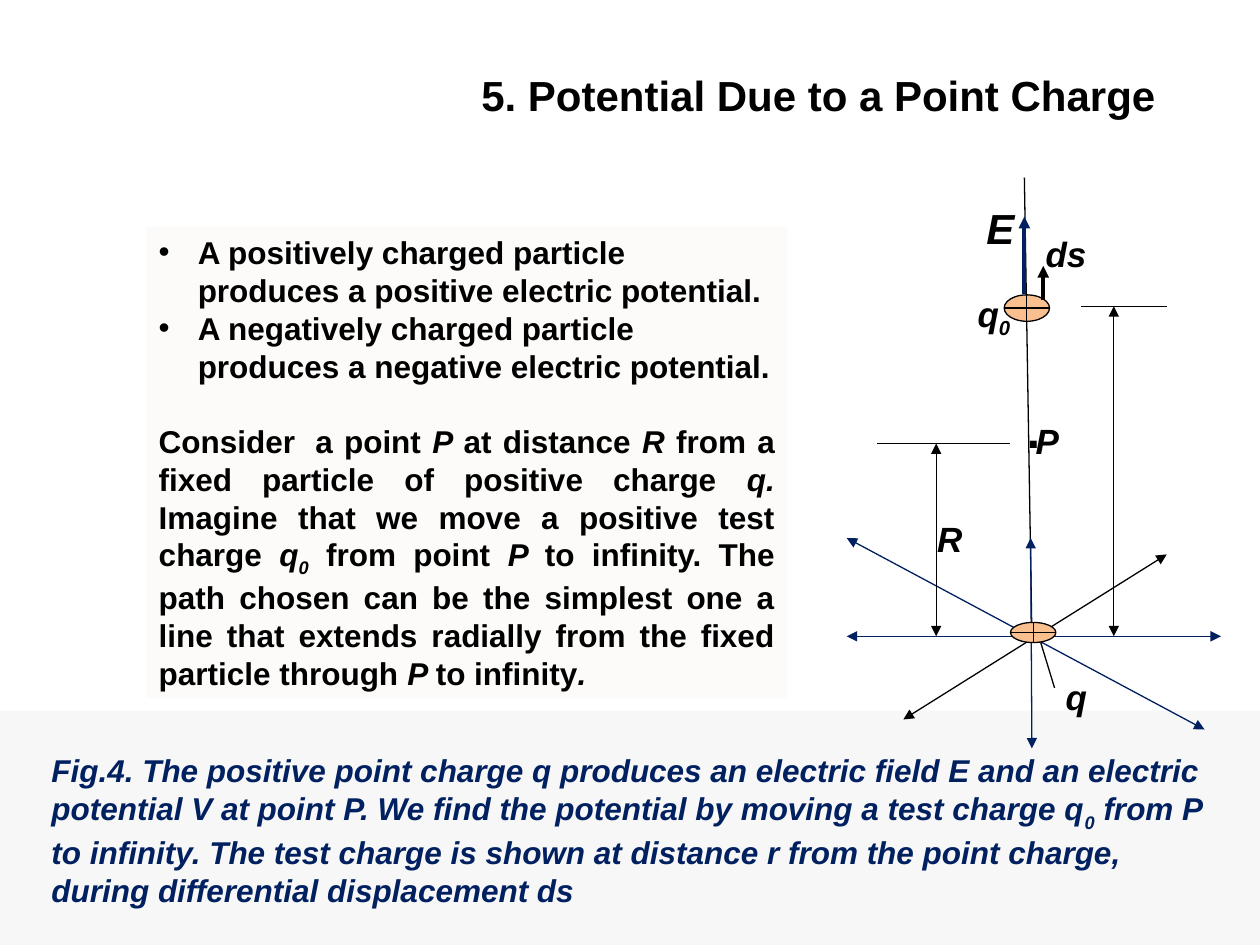
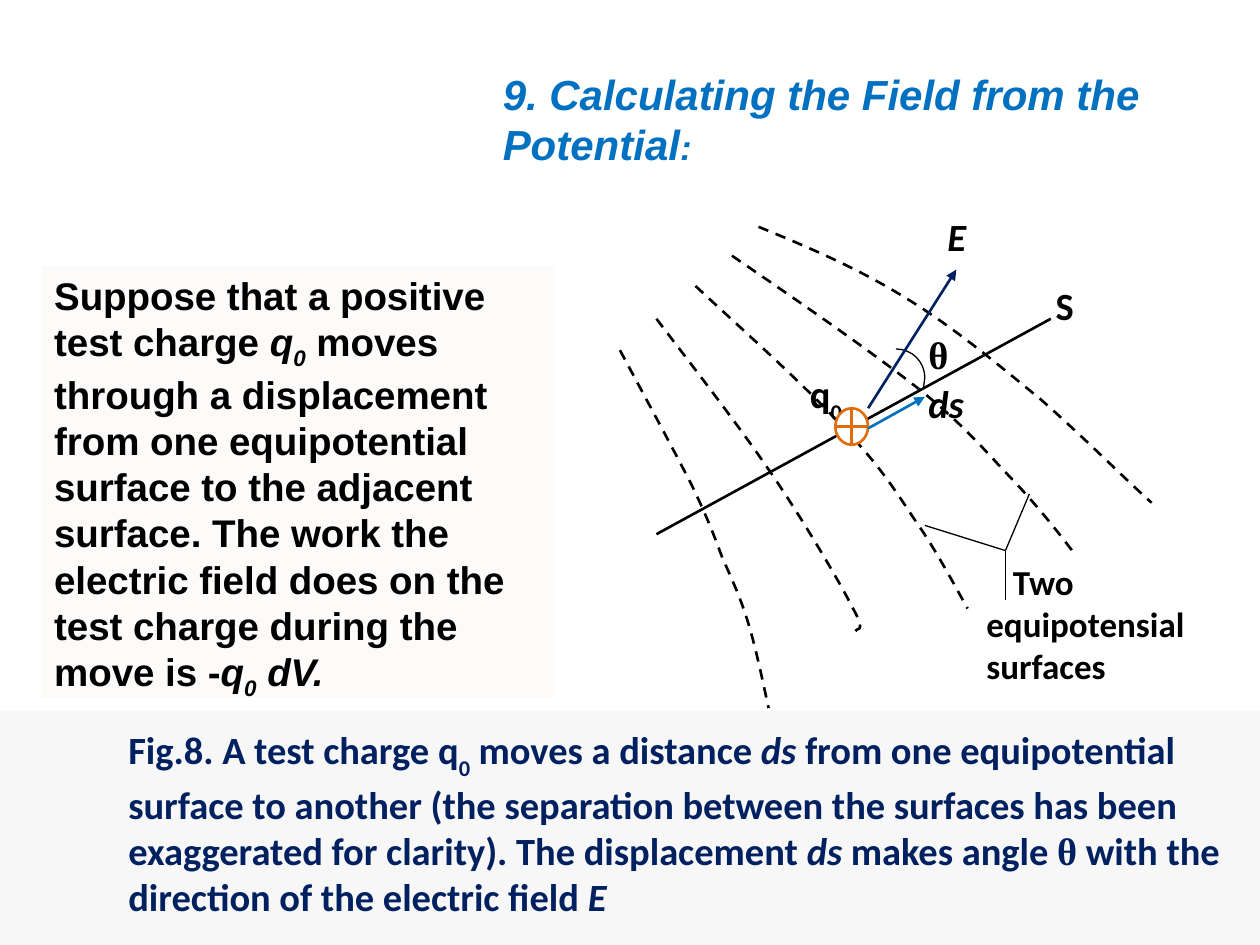
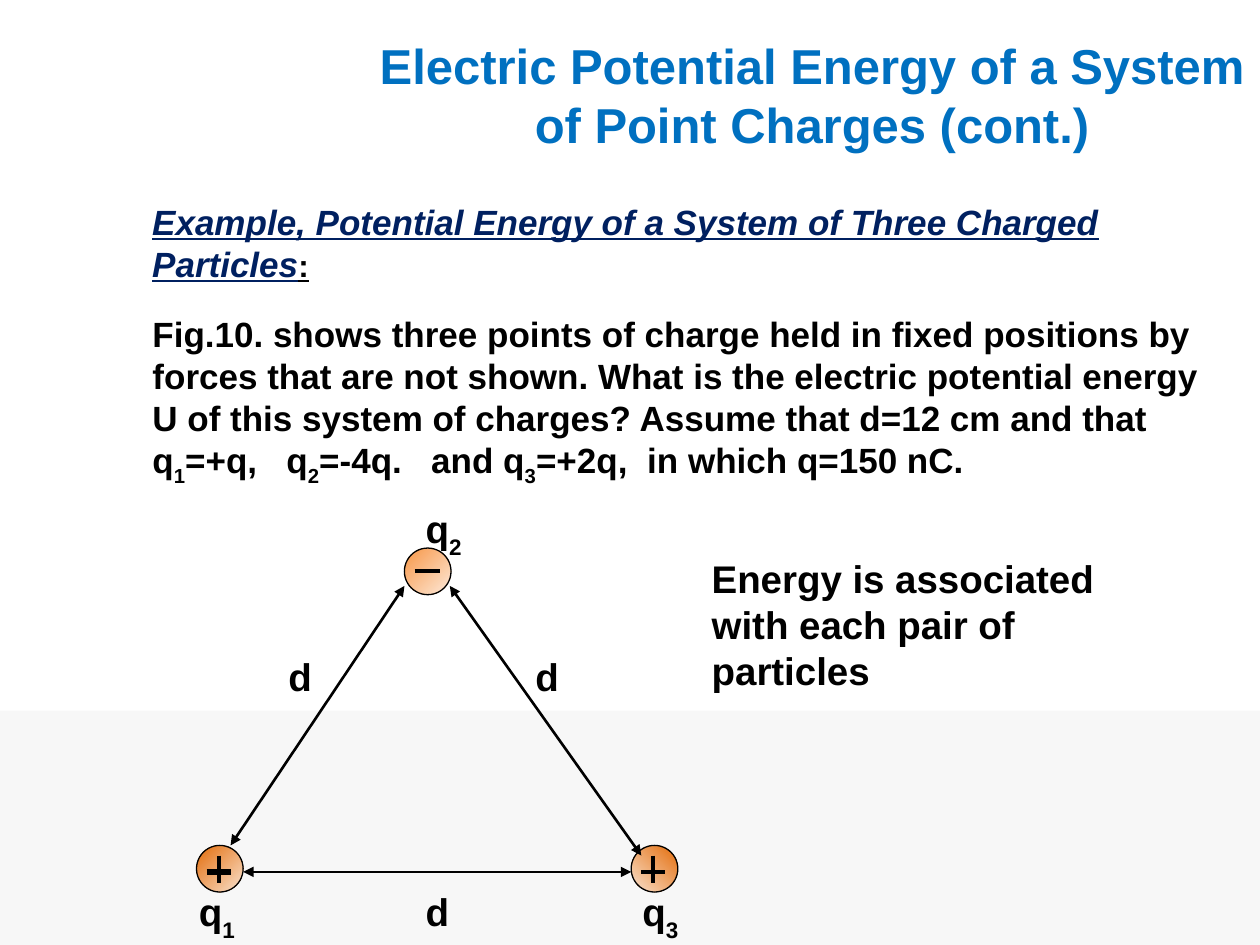
from lxml.etree import SubElement
from pptx import Presentation
from pptx.dml.color import RGBColor
from pptx.enum.dml import MSO_LINE
from pptx.enum.shapes import MSO_CONNECTOR, MSO_SHAPE
from pptx.enum.text import MSO_ANCHOR, MSO_AUTO_SIZE, PP_ALIGN
from pptx.oxml.ns import qn
from pptx.util import Inches, Pt

BLACK = RGBColor(0x00, 0x00, 0x00)
WHITE = RGBColor(0xFF, 0xFF, 0xFF)
NAVY = RGBColor(0x00, 0x20, 0x60)
BLUE = RGBColor(0x00, 0x70, 0xC0)
BAND = RGBColor(0xF7, 0xF7, 0xF7)
PANEL = RGBColor(0xFC, 0xFB, 0xF9)
PEACH = RGBColor(0xFA, 0xBF, 0x8F)
ORANGE = RGBColor(0xE3, 0x6C, 0x0A)
CREAM = RGBColor(0xF9, 0xE2, 0xCE)
LIGHT_ORANGE = RGBColor(0xF7, 0x96, 0x46)
LIGHT_CREAM = RGBColor(0xFD, 0xEA, 0xDA)
ARIAL, CALIBRI, TIMES = "Arial", "Calibri", "Times New Roman"
TIP = ("tailEnd",)
BOTH = ("headEnd", "tailEnd")


def write(para, font, size, color, *spans):
    for text, style, *extra in spans:
        span = para.add_run()
        span.text = text
        span.font.name = extra[0] if extra else font
        span.font.size = Pt(size)
        span.font.bold = True
        span.font.italic = "i" in style
        span.font.underline = "u" in style
        span.font.color.rgb = color
        drop = style.strip("iu")
        if drop:
            span._r.get_or_add_rPr().set("baseline", f"-{drop}000")
        if len(extra) > 1:
            span._r.get_or_add_rPr().set("spc", str(round(extra[1] * 100)))


def connect(page, start, end, color, width, arrows=()):
    line = page.shapes.add_connector(
        MSO_CONNECTOR.STRAIGHT, *[Inches(value) for value in start + end])
    line.line.color.rgb = color
    line.line.width = Pt(width)
    for arrow in arrows:
        SubElement(line.line._get_or_add_ln(), qn(f"a:{arrow}"), type="triangle")
    SubElement(line._element.spPr, qn("a:effectLst"))


deck = Presentation()
deck.slide_width, deck.slide_height = Inches(10), Inches(7.5)
pages = [deck.slides.add_slide(deck.slide_layouts[1]) for number in range(3)]
point_page, field_page, energy_page = pages

band = point_page.shapes.add_shape(
    MSO_SHAPE.RECTANGLE, 0, Inches(5.64), Inches(10), Inches(1.86))
band.shadow.inherit = False
band.fill.solid()
band.fill.fore_color.rgb = BAND
band.line.fill.background()
deck.slide_master.shapes.element.insert(2, band.element)

titles = [
    (3.72, 0.5, 5.69, 0.51, 24, BLACK, PP_ALIGN.LEFT,
     [("5. Potential Due to a Point Charge", "")]),
    (3.89, 0.49, 5.74, 0.91, 24, BLUE, PP_ALIGN.LEFT,
     [("9. Calculating the Field from the Potential", "i")]),
    (2.89, 0.23, 7.11, 1.04, 28, BLUE, PP_ALIGN.CENTER,
     [("Electric Potential Energy of a System of Point Charges (cont.)", "")]),
]
bodies = [
    (1.16, 1.8, 5.09, 3.74, 18, PANEL, [
        [("A positively charged particle produces a positive electric potential.", "")],
        [("A negatively charged particle produces a negative electric potential.", "")],
        [("Consider", ""), (" ", "", ARIAL, 5), ("a point ", ""), ("P ", "i"),
         ("at distance ", ""), ("R ", "i"),
         ("from a fixed particle of positive charge ", ""), ("q. ", "i"),
         ("Imagine that we move a positive test charge ", ""), ("q", "i"),
         ("0", "i25"), (" from point ", ""), ("P ", "i"),
         ("to infinity. The path chosen can be the simplest one a line that extends "
          "radially from the fixed particle through ", ""),
         ("P ", "i"), ("to infinity", ""), (".", "i")]]),
    (0.33, 2.11, 4.06, 3.43, 22, PANEL, [
        [("Suppose that a positive test charge ", ""), ("q", "i"), ("0", "i25"),
         (" moves through a displacement from one equipotential surface to the "
          "adjacent surface. The work the electric field does on the test charge "
          "during the move is -", ""),
         ("q", "i"), ("0", "i25"), (" dV.", "i")]]),
    (1.11, 2.45, 8.67, 1.45, 20, None, [
        [("Fig.10. shows three points of charge held in fixed positions by forces that "
          "are not shown. What is the electric potential energy U of this system of "
          "charges? Assume that d=12 cm and that q", ""),
         ("1", "30"), ("=+q,", ""), (" ", "", ARIAL, 11.1), ("q", ""),
         ("2", "30"), ("=-4q.", ""), (" ", "", ARIAL, 11.1), ("and q", ""),
         ("3", "30"), ("=+2q,", ""), (" ", "", ARIAL, 5.6),
         ("in which q=150 nC.", "")]]),
]
for page, title_row, body_row in zip(pages, titles, bodies):
    title, body = page.placeholders
    for box, row in ((title, title_row), (body, body_row)):
        box.left, box.top, box.width, box.height = [Inches(value) for value in row[:4]]
        box.text_frame.auto_size = MSO_AUTO_SIZE.NONE
        box.text_frame.vertical_anchor = MSO_ANCHOR.TOP
    size, color, align, spans = title_row[4:]
    para = title.text_frame.paragraphs[0]
    para.alignment = align
    write(para, ARIAL, size, color, *spans)
    size, fill, paras = body_row[4:]
    if fill:
        body.fill.solid()
        body.fill.fore_color.rgb = fill
    for index, spans in enumerate(paras):
        frame = body.text_frame
        para = frame.add_paragraph() if index else frame.paragraphs[0]
        listed = len(spans) == 1
        indent = Inches(0.31) if listed else 0
        properties = para._p.get_or_add_pPr()
        properties.set("marL", str(indent))
        properties.set("indent", str(-indent))
        if not listed:
            SubElement(properties, qn("a:buNone"))
        para.space_before = Pt(0)
        write(para, ARIAL, size, BLACK, *spans)

write(field_page.shapes.title.text_frame.paragraphs[0], ARIAL, 20, BLUE, (":", "i"))
consider = point_page.placeholders[1].text_frame.paragraphs[2]
consider.alignment = PP_ALIGN.JUSTIFY
consider.space_before = Pt(21.5)
energy_page.placeholders[1].text_frame.vertical_anchor = MSO_ANCHOR.MIDDLE

texts = [
    (point_page, 8.36, 5.31, 0.37, 0.44, ARIAL, 20, BLACK, [("q", "i")]),
    (point_page, 7.34, 4.06, 0.4, 0.44, ARIAL, 20, BLACK, [("R", "i")]),
    (point_page, 7.66, 2.27, 0.48, 0.44, ARIAL, 20, BLACK, [("q", "i"), ("0", "i25")]),
    (point_page, 8.05, 3.12, 0.31, 0.57, ARIAL, 28, BLACK, [(".", "")]),
    (point_page, 8.12, 3.28, 0.39, 0.44, ARIAL, 20, BLACK, [("P", "i")]),
    (point_page, 8.2, 1.8, 0.55, 0.44, ARIAL, 20, BLACK, [("ds", "i")]),
    (point_page, 7.73, 1.56, 0.43, 0.51, ARIAL, 24, BLACK, [("E", "i")]),
    (point_page, 0.31, 5.93, 9.38, 1.31, ARIAL, 18, NAVY, [
        ("Fig.4. The positive point charge q produces an electric field E and an "
         "electric potential V at point P. We find the potential by moving a test "
         "charge q", "i"), ("0", "i30"),
        (" from P to infinity. The test charge is shown at distance r from the point "
         "charge, during differential displacement ds", "i")]),
    (field_page, 0.92, 5.74, 9.08, 1.58, CALIBRI, 22, NAVY, [
        ("Fig.8. A test charge q", ""), ("0", "30"), (" moves a distance ", ""),
        ("ds", "i"),
        (" from one equipotential surface to another (the separation between the "
         "surfaces has been exaggerated for clarity). The displacement ", ""),
        ("ds", "i"), (" makes angle ", ""), ("θ", "", TIMES),
        (" with the direction of the electric field ", ""), ("E", "i")]),
    (field_page, 6.33, 2.89, 0.47, 0.47, CALIBRI, 22, BLACK, [("q", ""), ("0", "30")]),
    (field_page, 7.27, 2.97, 0.49, 0.47, CALIBRI, 22, BLACK, [("ds", "i")]),
    (field_page, 7.42, 1.64, 0.35, 0.47, CALIBRI, 22, BLACK, [("E", "i")]),
    (field_page, 8.28, 2.19, 0.35, 0.47, CALIBRI, 22, BLACK, [("S", "")]),
    (field_page, 7.27, 2.58, 0.36, 0.47, TIMES, 22, BLACK, [("θ", "")]),
    (field_page, 7.73, 4.38, 2.27, 1.14, CALIBRI, 20, BLACK,
     [("Two equipotensial surfaces", "")]),
    (energy_page, 1.48, 7, 0.51, 0.47, ARIAL, 22, BLACK, [("q", ""), ("1", "30")]),
    (energy_page, 5, 7, 0.51, 0.47, ARIAL, 22, BLACK, [("q", ""), ("3", "30")]),
    (energy_page, 3.28, 7, 0.39, 0.47, ARIAL, 22, BLACK, [("d", "")]),
    (energy_page, 2.19, 5.13, 2.39, 0.47, ARIAL, 22, BLACK,
     [("d", ""), (" ", "", ARIAL, 121.6), ("d", "")]),
    (energy_page, 3.28, 3.96, 0.51, 0.47, ARIAL, 22, BLACK, [("q", ""), ("2", "30")]),
    (energy_page, 5.55, 4.35, 3.28, 1.21, ARIAL, 22, BLACK,
     [("Energy is associated with each pair of particles", "")]),
    (energy_page, 1.11, 1.54, 7.83, 0.77, ARIAL, 20, NAVY,
     [("Example, Potential Energy of a System of Three Charged Particles", "iu")]),
]
for page, left, top, width, height, font, size, color, spans in texts:
    box = page.shapes.add_textbox(
        Inches(left), Inches(top), Inches(width), Inches(height))
    box.text_frame.word_wrap = width > 1
    box.text_frame.vertical_anchor = MSO_ANCHOR.MIDDLE if height > 1 else MSO_ANCHOR.TOP
    para = box.text_frame.paragraphs[0]
    write(para, font, size, color, *spans)
    if spans[0][0].startswith("Two"):
        para._p.get_or_add_pPr().set("indent", str(Inches(0.21)))
write(para, ARIAL, 18, BLACK, (":", "u"))

connect(point_page, (8.13, 1.41), (8.19, 5.05), BLACK, 0.75)
for start, end, color in [
    ((6.72, 5.05), (9.69, 5.05), NAVY),
    ((7.17, 5.71), (9.26, 4.4), BLACK),
    ((6.72, 4.27), (9.56, 5.79), NAVY),
    ((8.18, 4.27), (8.19, 5.94), NAVY),
    ((7.43, 3.52), (7.43, 5.05), BLACK),
    ((8.84, 2.43), (8.84, 5.05), BLACK),
]:
    connect(point_page, start, end, color, 0.75, BOTH)
for start, end in [
    ((6.96, 3.52), (8.02, 3.52)),
    ((8.26, 5.1), (8.37, 5.46)),
    ((8.58, 2.43), (9.26, 2.43)),
]:
    connect(point_page, start, end, BLACK, 0.75)

surfaces = [
    [(6.02, 1.8), (6.41, 1.96), (6.81, 2.13), (7.18, 2.36), (7.56, 2.59),
     (7.93, 2.9), (8.26, 3.17), (8.58, 3.45), (8.99, 3.86), (9.14, 3.99)],
    [(5.81, 2.03), (6.35, 2.4), (6.9, 2.78), (7.27, 3.07), (7.64, 3.36),
     (7.82, 3.58), (8.02, 3.79), (8.23, 4.01), (8.37, 4.19), (8.51, 4.37)],
    [(5.52, 2.27), (5.95, 2.67), (6.39, 3.06), (6.68, 3.38), (6.98, 3.69),
     (7.11, 3.9), (7.27, 4.14), (7.44, 4.38), (7.61, 4.71), (7.68, 4.83)],
    [(5.21, 2.53), (5.53, 2.95), (5.85, 3.36), (6.11, 3.74), (6.37, 4.12),
     (6.66, 4.61), (6.77, 4.83), (6.89, 5.04), (6.78, 4.98), (6.79, 5.01)],
    [(4.92, 2.78), (5.13, 3.17), (5.34, 3.56), (5.48, 3.83), (5.61, 4.1),
     (5.66, 4.23), (5.73, 4.42), (5.81, 4.6), (5.88, 4.75), (5.94, 4.95),
     (6, 5.15), (6.05, 5.39), (6.1, 5.62)],
]
angle = [(7.11, 2.77), (7.24, 2.77), (7.34, 2.87), (7.34, 3),
         (7.34, 3.03), (7.33, 3.05), (7.33, 3.08)]
for knots in surfaces + [angle]:
    start, *others = [(Inches(x), Inches(y)) for x, y in knots]
    builder = field_page.shapes.build_freeform(*start)
    builder.add_line_segments(others, close=False)
    curve = builder.convert_to_shape()
    outline = curve.element.find(".//" + qn("a:path"))
    segments = outline.findall(qn("a:lnTo"))
    for first in range(0, len(segments), 3):
        bend = SubElement(outline, qn("a:cubicBezTo"))
        for segment in segments[first:first + 3]:
            bend.append(segment[0])
            outline.remove(segment)
    curve.shadow.inherit = False
    curve.fill.background()
    curve.line.color.rgb = BLACK
    curve.line.width = Pt(0.75 if knots is angle else 1.5)
    if knots is not angle:
        curve.line.dash_style = MSO_LINE.DASH
connect(field_page, (5.21, 4.24), (8.34, 2.53), BLACK, 1.5)

for page, left, top, width, height, fill, color, weight in [
    (point_page, 8.02, 4.94, 0.36, 0.16, PEACH, BLACK, 0.75),
    (point_page, 7.97, 2.34, 0.36, 0.21, PEACH, BLACK, 0.75),
    (field_page, 6.63, 3.24, 0.26, 0.29, WHITE, ORANGE, 1.5),
]:
    charge = page.shapes.add_shape(
        MSO_SHAPE.FLOWCHART_OR, Inches(left), Inches(top), Inches(width), Inches(height))
    charge.shadow.inherit = False
    charge.fill.solid()
    charge.fill.fore_color.rgb = fill
    charge.line.color.rgb = color
    charge.line.width = Pt(weight)

connect(point_page, (8.13, 2.33), (8.13, 1.72), NAVY, 2.25, TIP)
connect(point_page, (8.28, 2.38), (8.28, 2.11), BLACK, 2.25, TIP)
connect(field_page, (6.89, 3.24), (7.59, 2.14), NAVY, 1.5, TIP)
connect(field_page, (6.89, 3.4), (7.34, 3.15), BLUE, 1.5, TIP)
for end in ((8.17, 3.92), (7.34, 4.17), (7.98, 4.76)):
    connect(field_page, (7.98, 4.37), end, BLACK, 0.75)

for left, top, dark, light, turn in [
    (1.56, 6.71, ORANGE, CREAM, 315),
    (3.21, 4.35, LIGHT_ORANGE, LIGHT_CREAM, 315),
    (5.01, 6.71, ORANGE, CREAM, 225),
]:
    particle = energy_page.shapes.add_shape(
        MSO_SHAPE.OVAL, Inches(left), Inches(top), Inches(0.37), Inches(0.37))
    particle.shadow.inherit = False
    particle.fill.gradient()
    particle.fill.gradient_angle = turn
    for stop, color in zip(particle.fill.gradient_stops, (dark, light)):
        stop.color.rgb = color
    particle.line.color.rgb = BLACK
    particle.line.width = Pt(0.75)
for start, end in [
    ((1.93, 6.92), (5.01, 6.92)),
    ((1.83, 6.71), (3.21, 4.65)),
    ((5.09, 6.79), (3.57, 4.65)),
]:
    connect(energy_page, start, end, BLACK, 1.5, BOTH)
for start, end, width in [
    ((3.29, 4.53), (3.49, 4.53), 2.25),
    ((1.64, 6.92), (1.83, 6.92), 3),
    ((1.74, 6.79), (1.74, 7.01), 2.25),
    ((5.09, 6.92), (5.28, 6.92), 2.25),
    ((5.18, 6.79), (5.18, 7.01), 2.25),
]:
    connect(energy_page, start, end, BLACK, width)

deck.save("out.pptx")
